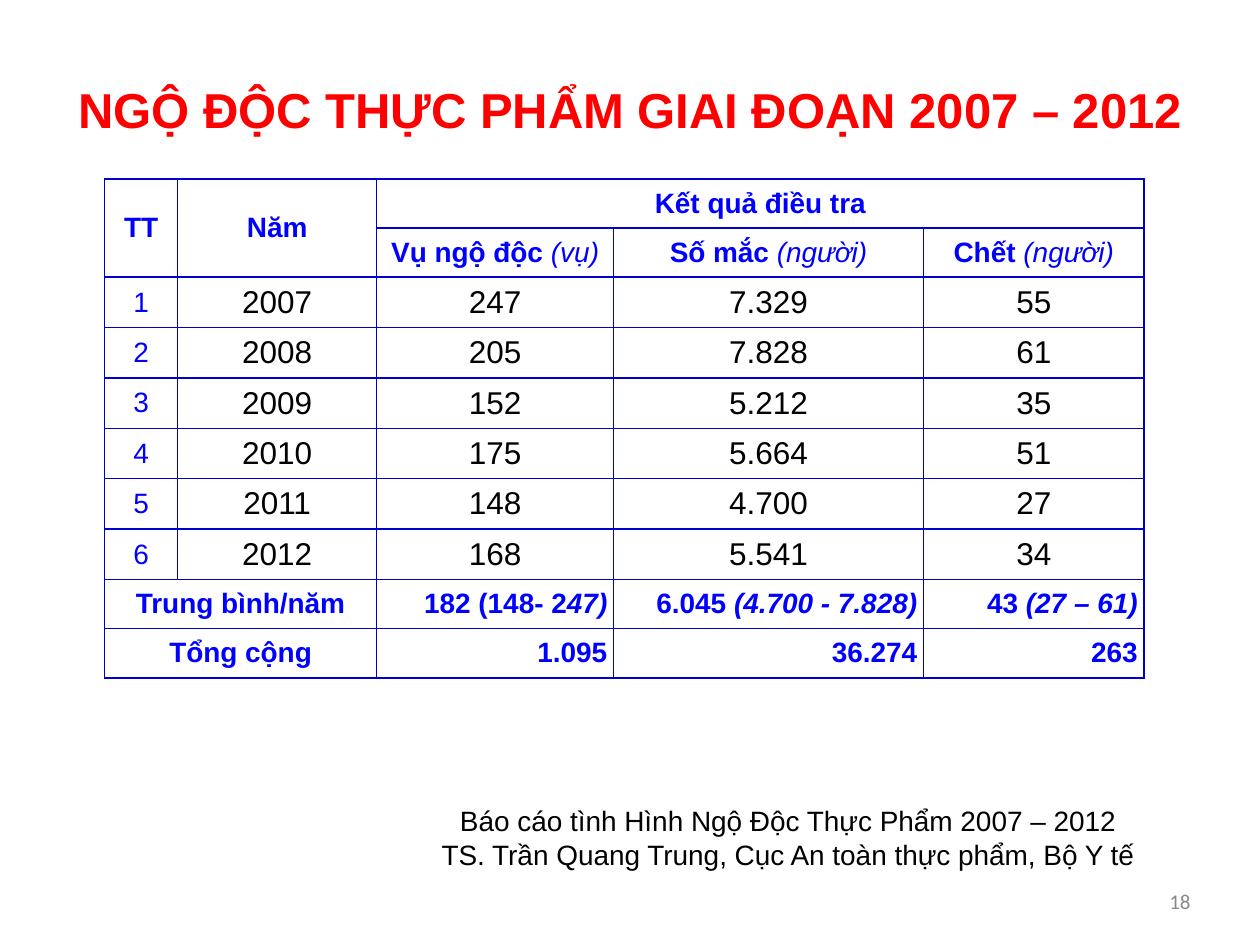
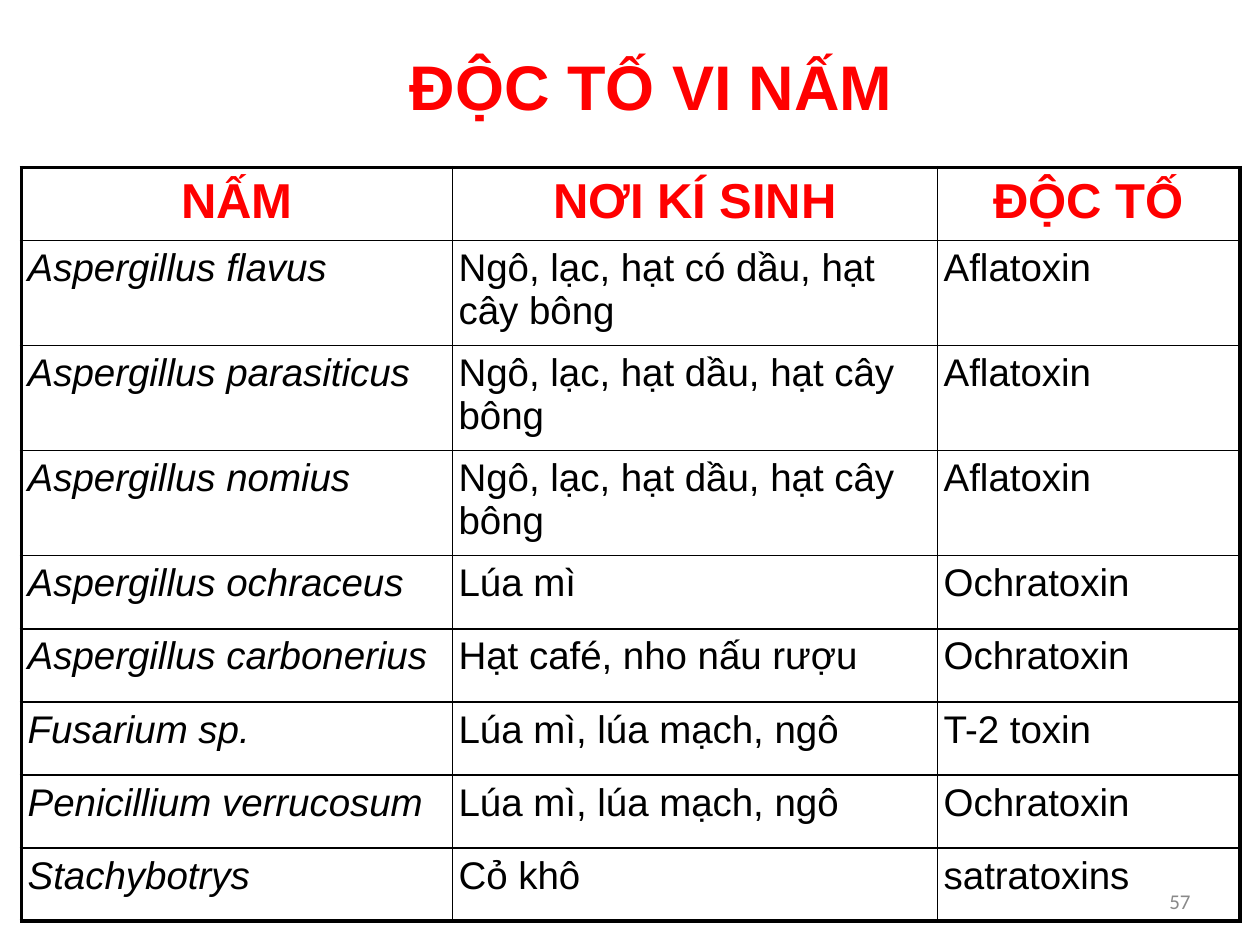
from lxml import etree
from pptx import Presentation
from pptx.dml.color import RGBColor
from pptx.enum import text
from pptx.oxml import ns
from pptx.util import Inches, Pt

HUE = {"title": "FF0000", "head": "0000FF", "rule": "0000CC",
       "ink": "000000", "page": "898989"}
PAD = Inches(0.05)
LEFT, MID, RIGHT = text.PP_ALIGN.LEFT, text.PP_ALIGN.CENTER, text.PP_ALIGN.RIGHT
TOP, HALF = text.MSO_ANCHOR.TOP, text.MSO_ANCHOR.MIDDLE


def write(frame, words, size, hue, align=MID, bold=False, slant=False,
          tail=None, gap=0, face="Arial"):
    """Fill a frame line by line; text after "|" is italic, with bold set by tail."""
    for n, line in enumerate(words.split("\n")):
        para = frame.paragraphs[0] if n == 0 else frame.add_paragraph()
        para.alignment = align
        if gap:
            para.space_before = Pt(gap)
        font = para.font
        font.name, font.size = face, Pt(size)
        font.color.rgb = RGBColor.from_string(HUE[hue])
        font.bold, font.italic = bold, slant
        for k, part in enumerate(line.split("|")):
            run = para.add_run()
            run.text = part
            if k:
                run.font.bold, run.font.italic = tail, True


def grid(slide, left, top, cols, rows, hue, rim, anchor):
    """Add a plain ruled table; rim is the width of its outer lines."""
    table = slide.shapes.add_table(
        len(rows), len(cols), Inches(left), Inches(top),
        Inches(sum(cols)), Inches(sum(rows))).table
    table.first_row = table.horz_banding = False
    for col, wide in zip(table.columns, cols):
        col.width = Inches(wide)
    for row, high in zip(table.rows, rows):
        row.height = Inches(high)
    for r in range(len(rows)):
        for c in range(len(cols)):
            cell = table.cell(r, c)
            cell.fill.background()
            cell.vertical_anchor = anchor
            cell.margin_left = cell.margin_right = PAD
            cell.margin_top = cell.margin_bottom = PAD
            edges = {"L": c == 0, "R": c == len(cols) - 1,
                     "T": r == 0, "B": r == len(rows) - 1}
            props = cell._tc.get_or_add_tcPr()
            for n, (side, outer) in enumerate(edges.items()):
                line = etree.Element(ns.qn("a:ln" + side),
                                     w=str(Pt(rim if outer else 1)))
                fill = etree.SubElement(line, ns.qn("a:solidFill"))
                etree.SubElement(fill, ns.qn("a:srgbClr"), val=HUE[hue])
                props.insert(n, line)
    return table


deck = Presentation()
deck.slide_width, deck.slide_height = Inches(10), Inches(7.5)
cases, fungi = [deck.slides.add_slide(deck.slide_layouts[6]) for _ in range(2)]

# Food poisoning table
tab = grid(cases, 0.83, 1.42, [0.58, 1.58, 1.88, 2.46, 1.75],
           [0.39] * 2 + [0.4] * 6 + [0.39] * 2, "rule", 1, HALF)
for r, c, r2, c2 in [(0, 0, 1, 0), (0, 1, 1, 1), (0, 2, 0, 4),
                     (8, 0, 8, 1), (9, 0, 9, 1)]:
    tab.cell(r, c).merge(tab.cell(r2, c2))

# Two header rows
heads = {(0, 0): "TT", (0, 1): "Năm", (0, 2): "Kết quả điều tra",
         (1, 2): "Vụ ngộ độc |(vụ)", (1, 3): "Số mắc |(người)",
         (1, 4): "Chết |(người)"}
for (r, c), words in heads.items():
    write(tab.cell(r, c).text_frame, words, 16, "head", bold=True, tail=False)

# One row per year
years = [("247", "7.329", "55"), ("205", "7.828", "61"), ("152", "5.212", "35"),
         ("175", "5.664", "51"), ("148", "4.700", "27"), ("168", "5.541", "34")]
for n, vals in enumerate(years):
    write(tab.cell(n + 2, 0).text_frame, str(n + 1), 16, "head")
    for c, val in enumerate((str(2007 + n), *vals), 1):
        write(tab.cell(n + 2, c).text_frame, val, 18, "ink")

# Average and total
sums = [("Trung bình/năm", "182 (148- 2|47)", "6.045 |(4.700 - 7.828)",
         "43 |(27 – 61)"),
        ("Tổng cộng", "1.095", "36.274", "263")]
for r, row in enumerate(sums, 8):
    for c, words in zip((0, 2, 3, 4), row):
        write(tab.cell(r, c).text_frame, words, 16, "head",
              RIGHT if c else MID, bold=True, tail=True)

# Mycotoxin table
toxins = [
    ("Aspergillus flavus", "Ngô, lạc, hạt có dầu, hạt cây bông", "Aflatoxin"),
    ("Aspergillus parasiticus", "Ngô, lạc, hạt dầu, hạt cây bông", "Aflatoxin"),
    ("Aspergillus nomius", "Ngô, lạc, hạt dầu, hạt cây bông", "Aflatoxin"),
    ("Aspergillus ochraceus", "Lúa mì", "Ochratoxin"),
    ("Aspergillus carbonerius", "Hạt café, nho nấu rượu", "Ochratoxin"),
    ("Fusarium sp.", "Lúa mì, lúa mạch, ngô", "T-2 toxin"),
    ("Penicillium verrucosum", "Lúa mì, lúa mạch, ngô", "Ochratoxin"),
    ("Stachybotrys", "Cỏ khô", "satratoxins")]
tab = grid(fungi, 0.17, 1.33, [3.42, 3.85, 2.4],
           [0.58] + [0.83] * 3 + [0.58] * 5, "ink", 2.25, TOP)
for c, words in enumerate(("NẤM", "NƠI KÍ SINH", "ĐỘC TỐ")):
    write(tab.cell(0, c).text_frame, words, 28, "title", bold=True, gap=6)
for r, row in enumerate(toxins, 1):
    for c, words in enumerate(row):
        write(tab.cell(r, c).text_frame, words, 22, "ink", LEFT,
              slant=c == 0, gap=5)

# Titles, source note and page numbers
title = {"hue": "title", "bold": True}
note = {"hue": "ink", "size": 16}
page = {"hue": "page", "size": 12, "align": RIGHT, "face": "Calibri"}
spot = (9.2, 7.01, 0.3, 0.29)
boxes = [
    (cases, (0.5, 0.58, 9, 0.53), "NGỘ ĐỘC THỰC PHẨM GIAI ĐOẠN 2007 – 2012",
     {**title, "size": 28}),
    (cases, (2.92, 6.33, 6.67, 0.59),
     "Báo cáo tình Hình Ngộ Độc Thực Phẩm 2007 – 2012\n"
     "TS. Trần Quang Trung, Cục An toàn thực phẩm, Bộ Y tế", note),
    (cases, spot, "18", page),
    (fungi, (0.92, 0.33, 8.5, 0.67), "ĐỘC TỐ VI NẤM", {**title, "size": 36}),
    (fungi, spot, "57", page)]
for slide, at, words, look in boxes:
    frame = slide.shapes.add_textbox(*map(Inches, at)).text_frame
    frame.margin_left = frame.margin_right = PAD
    frame.margin_top = frame.margin_bottom = PAD
    frame.word_wrap = look is not page
    frame.auto_size = text.MSO_AUTO_SIZE.SHAPE_TO_FIT_TEXT
    frame.vertical_anchor = HALF if look is page else TOP
    write(frame, words, **look)

deck.save("out.pptx")
